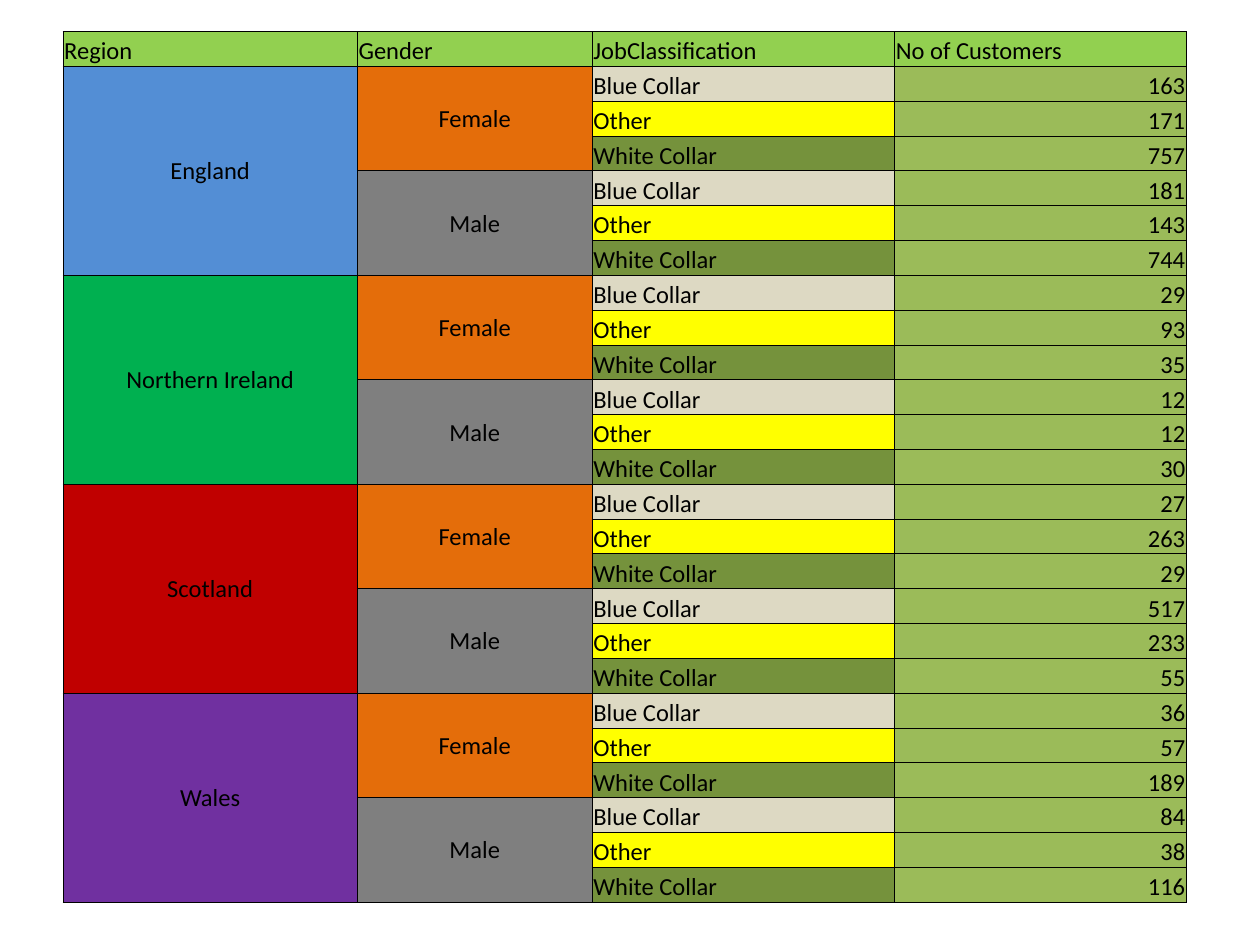
from itertools import product

from lxml.etree import SubElement
from pptx import Presentation
from pptx.dml.color import RGBColor
from pptx.enum.text import MSO_ANCHOR, PP_ALIGN
from pptx.oxml.ns import qn
from pptx.util import Pt

BLACK = RGBColor(0x00, 0x00, 0x00)
HEADER_GREEN = RGBColor(0x92, 0xD0, 0x50)
COUNT_GREEN = RGBColor(0x9B, 0xBB, 0x59)
REGIONS = {
    "England": RGBColor(0x53, 0x8E, 0xD5),
    "Northern Ireland": RGBColor(0x00, 0xB0, 0x50),
    "Scotland": RGBColor(0xC0, 0x00, 0x00),
    "Wales": RGBColor(0x70, 0x30, 0xA0),
}
GENDERS = {
    "Female": RGBColor(0xE4, 0x6D, 0x0A),
    "Male": RGBColor(0x7F, 0x7F, 0x7F),
}
JOBS = {
    "Blue Collar": RGBColor(0xDD, 0xD9, 0xC3),
    "Other": RGBColor(0xFF, 0xFF, 0x00),
    "White Collar": RGBColor(0x75, 0x92, 0x3C),
}
HEADERS = ["Region", "Gender", "JobClassification", "No of Customers"]
CUSTOMERS = [
    163, 171, 757, 181, 143, 744,
    29, 93, 35, 12, 12, 30,
    27, 263, 29, 517, 233, 55,
    36, 57, 189, 84, 38, 116,
]
COLUMN_WIDTHS = [168.2, 134.2, 172.8, 166.8]
ROW_HEIGHT = 19.92


class TablePage:
    """Holds the text and border style together with the current slide."""

    def __init__(self, page, font="Calibri", size=14, color=BLACK, border=0.5):
        self.page = page
        self.font = font
        self.size = size
        self.color = color
        self.border = border

    def table(self, left, top, widths, row_count, row_height):
        frame = self.page.shapes.add_table(
            row_count, len(widths), Pt(left), Pt(top),
            Pt(sum(widths)), Pt(row_count * row_height))
        table = frame.table
        table.first_row = table.horz_banding = False
        for column, width in zip(table.columns, widths):
            column.width = Pt(width)
        for row in table.rows:
            row.height = Pt(row_height)
            for cell in row.cells:
                self.borders(cell)
        return table

    def borders(self, cell):
        properties = cell._tc.get_or_add_tcPr()
        for side in ("a:lnL", "a:lnR", "a:lnT", "a:lnB"):
            line = SubElement(properties, qn(side), w=str(Pt(self.border)))
            fill = SubElement(line, qn("a:solidFill"))
            SubElement(fill, qn("a:srgbClr"), val=str(self.color))

    def cell(self, cell, text, fill, align=PP_ALIGN.LEFT, anchor=MSO_ANCHOR.BOTTOM):
        cell.margin_left = cell.margin_right = cell.margin_top = Pt(0.72)
        cell.margin_bottom = Pt(0)
        cell.vertical_anchor = anchor
        cell.fill.solid()
        cell.fill.fore_color.rgb = fill
        cell.text_frame.text = text
        para = cell.text_frame.paragraphs[0]
        para.alignment = align
        for span in para.runs:
            span.font.name = self.font
            span.font.size = Pt(self.size)
            span.font.color.rgb = self.color

    def group(self, table, row, column, row_span, text, fill):
        first = table.cell(row, column)
        first.merge(table.cell(row + row_span - 1, column))
        self.cell(first, text, fill, PP_ALIGN.CENTER, MSO_ANCHOR.MIDDLE)


def main():
    deck = Presentation()
    deck.slide_width, deck.slide_height = Pt(720), Pt(540)
    page = TablePage(deck.slides.add_slide(deck.slide_layouts[6]))
    table = page.table(36, 18, COLUMN_WIDTHS, len(CUSTOMERS) + 1, ROW_HEIGHT)

    for column, header in enumerate(HEADERS):
        page.cell(table.cell(0, column), header, HEADER_GREEN)

    gender_span = len(JOBS)
    region_span = len(GENDERS) * gender_span
    for index, (region, fill) in enumerate(REGIONS.items()):
        page.group(table, 1 + index * region_span, 0, region_span, region, fill)
    for index, (_, gender) in enumerate(product(REGIONS, GENDERS)):
        page.group(table, 1 + index * gender_span, 1, gender_span, gender, GENDERS[gender])

    job_rows = product(REGIONS, GENDERS, JOBS)
    for row, ((_, _, job), count) in enumerate(zip(job_rows, CUSTOMERS), start=1):
        page.cell(table.cell(row, 2), job, JOBS[job])
        page.cell(table.cell(row, 3), str(count), COUNT_GREEN, PP_ALIGN.RIGHT)

    deck.save("out.pptx")


if __name__ == "__main__":
    main()
